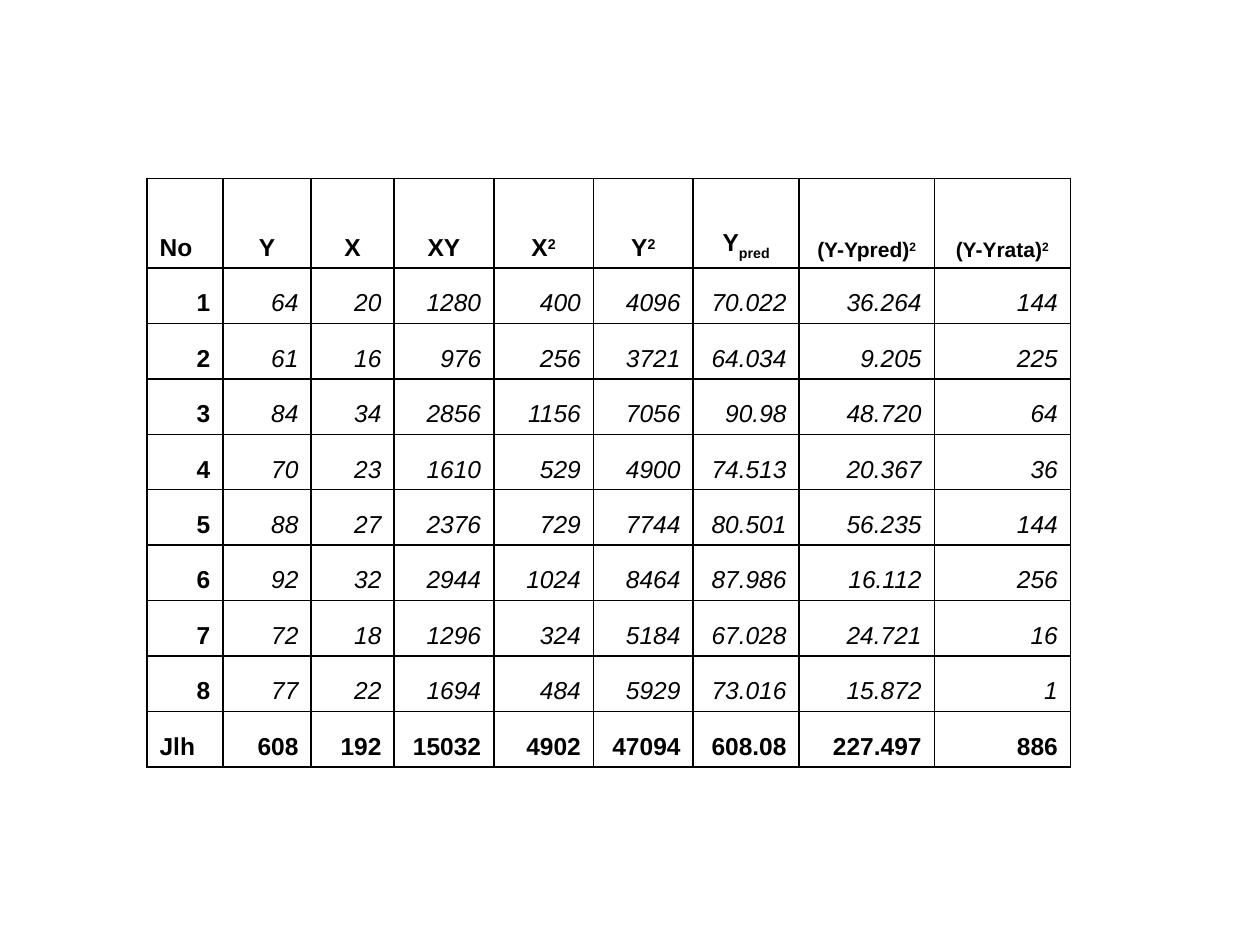
"""Build a slide with a regression table of sums and squared errors."""
from pptx import Presentation
from pptx.dml.color import RGBColor
from pptx.enum.text import MSO_ANCHOR, PP_ALIGN
from pptx.oxml import parse_xml
from pptx.oxml.ns import nsdecls
from pptx.util import Pt

LEFT, CENTER, RIGHT = PP_ALIGN.LEFT, PP_ALIGN.CENTER, PP_ALIGN.RIGHT
BOTTOM = MSO_ANCHOR.BOTTOM
THEME = {"font": "Arial", "ink": "000000", "size": 14, "small": 12, "line": 1}

HEAD = [
    ("No", "", 0), ("Y", "", 0), ("X", "", 0), ("XY", "", 0),
    ("X", "2", 30000), ("Y", "2", 30000), ("Y", "pred", -30000),
    ("(Y-Ypred)", "2", 30000), ("(Y-Yrata)", "2", 30000),
]
DATA = """
1 64 20 1280 400 4096 70.022 36.264 144
2 61 16 976 256 3721 64.034 9.205 225
3 84 34 2856 1156 7056 90.98 48.720 64
4 70 23 1610 529 4900 74.513 20.367 36
5 88 27 2376 729 7744 80.501 56.235 144
6 92 32 2944 1024 8464 87.986 16.112 256
7 72 18 1296 324 5184 67.028 24.721 16
8 77 22 1694 484 5929 73.016 15.872 1
Jlh 608 192 15032 4902 47094 608.08 227.497 886
"""
rows = [HEAD] + [[(word, "", 0) for word in line.split()]
                 for line in DATA.strip().splitlines()]
last = len(rows) - 1
widths = [43.4, 50.4, 47.4, 57, 57, 57, 60.6, 77.2, 77.8]
heights = [51.2] + [31.68] * last


def edge(cell):
    props = cell._tc.get_or_add_tcPr()
    for spot, side in enumerate("LRTB"):
        props.insert(spot, parse_xml(
            f'<a:ln{side} {nsdecls("a")} w="{Pt(THEME["line"])}"><a:solidFill>'
            f'<a:srgbClr val="{THEME["ink"]}"/></a:solidFill></a:ln{side}>'))


def write(para, text, base, style):
    run = para.add_run()
    run.text = text
    for name, value in style.items():
        setattr(run.font, name, value)
    run.font.color.rgb = RGBColor.from_string(THEME["ink"])
    if base:
        run.font._element.set("baseline", str(base))


deck = Presentation()
deck.slide_width, deck.slide_height = Pt(720), Pt(540)
slide = deck.slides.add_slide(deck.slide_layouts[6])
frame = slide.shapes.add_table(len(rows), len(widths), Pt(84), Pt(102),
                               Pt(sum(widths)), Pt(sum(heights)))
table = frame.table
table.first_row = table.horz_banding = False
for col, width in zip(table.columns, widths):
    col.width = Pt(width)
for row, height in zip(table.rows, heights):
    row.height = Pt(height)

for r, items in enumerate(rows):
    for c, (text, mark, base) in enumerate(items):
        cell = table.cell(r, c)
        cell.fill.background()
        cell.vertical_anchor = BOTTOM
        edge(cell)
        strong = r in (0, last) or c == 0
        small = r == 0 and c > 6
        style = {
            "name": THEME["font"],
            "size": Pt(THEME["small" if small else "size"]),
            "bold": strong,
            "italic": not strong,
        }
        para = cell.text_frame.paragraphs[0]
        if c == 0 and r in (0, last):
            para.alignment = LEFT
        else:
            para.alignment = CENTER if r == 0 else RIGHT
        write(para, text, 0, style)
        if mark:
            write(para, mark, base, style)

deck.save("out.pptx")
